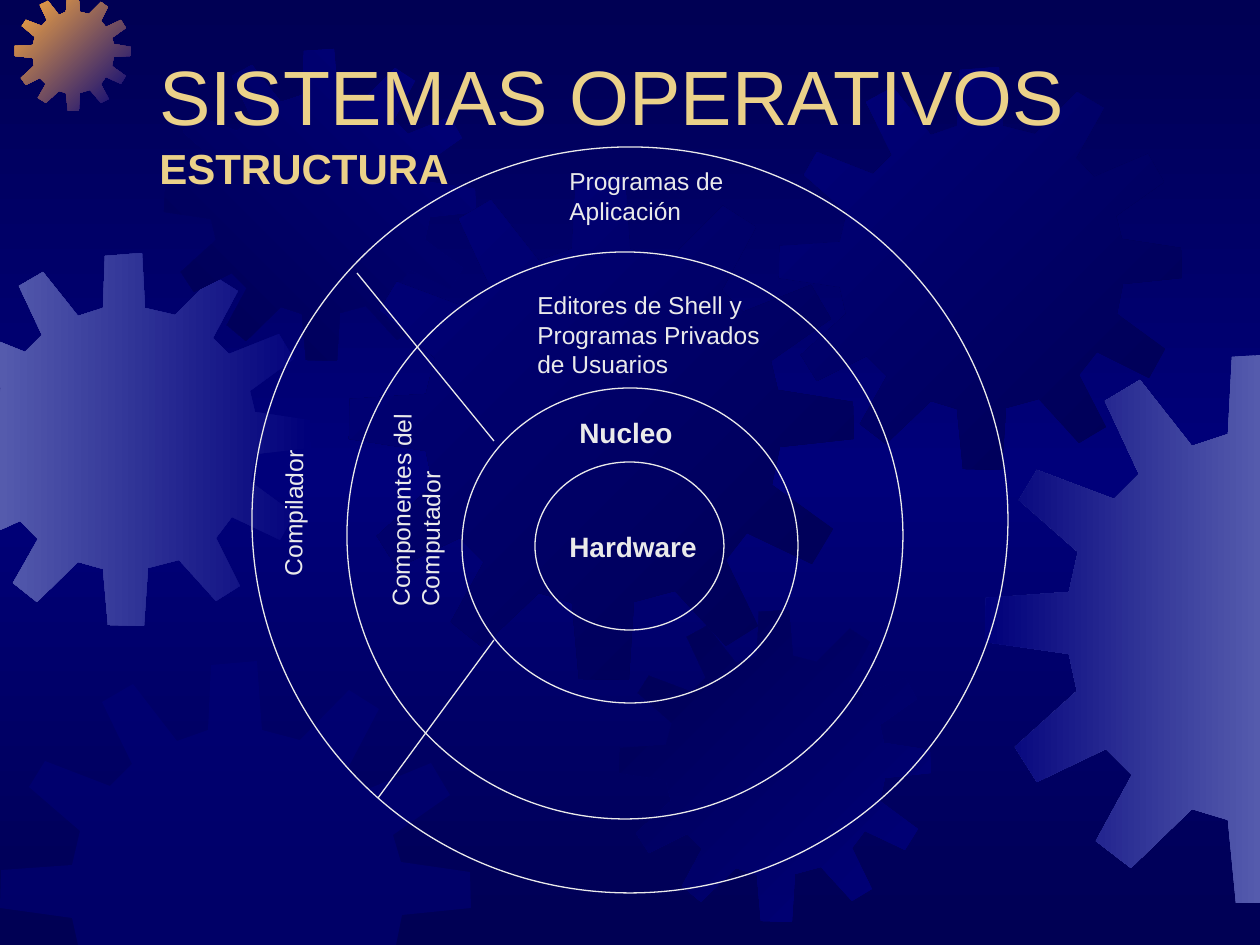
import copy

import lxml.etree
import pptx
import pptx.util
import pptx.dml.color
import pptx.enum.shapes
import pptx.enum.text
import pptx.oxml.ns

EMU_PER_PX = 914400 / 126
WIDTH, HEIGHT = 1260, 945

NIGHT = pptx.dml.color.RGBColor(0x00, 0x00, 0x54)
NAVY = pptx.dml.color.RGBColor(0x00, 0x00, 0x7A)
LAVENDER = pptx.dml.color.RGBColor(0x55, 0x5B, 0xAD)
ORANGE = pptx.dml.color.RGBColor(0xFC, 0xAB, 0x40)
GOLD = pptx.dml.color.RGBColor(0xEB, 0xD1, 0x89)
PALE = pptx.dml.color.RGBColor(0xEA, 0xEA, 0xEA)

# One gear outline, drawn on a square of GEAR_SIZE units
GEAR_SIZE = 401
GEAR_POINTS = [
    (255, 67), (223, 59), (219, 0), (180, 3), (177, 59), (151, 68),
    (113, 20), (87, 35), (112, 88), (94, 106), (38, 85), (25, 107),
    (68, 145), (61, 174), (1, 178), (0, 210), (61, 219), (67, 246),
    (22, 287), (38, 312), (88, 288), (107, 307), (81, 355), (106, 375),
    (151, 332), (177, 340), (183, 400), (222, 401), (226, 339), (259, 330),
    (299, 374), (325, 358), (299, 306), (316, 284), (368, 309), (384, 281),
    (336, 246), (342, 216), (401, 210), (400, 180), (341, 171), (335, 148),
    (383, 114), (367, 87), (313, 109), (296, 91), (323, 41), (297, 25),
]

# left, top, size, colours, clockwise gradient angle
GEARS = [
    (-62, 253, 373, (NAVY, LAVENDER), 180),
    (15, -5, 116, (NAVY, ORANGE), 225),
    (164, 49, 312, (NAVY, NIGHT), 135),
    (349, 175, 505, (NIGHT, NAVY), 225),
    (0, 661, 471, (NAVY,), None),
    (619, 610, 312, (NAVY, NIGHT), 225),
    (779, 67, 403, (NIGHT, NAVY), 225),
    (985, 353, 551, (LAVENDER, NAVY), 180),
]

# left, top, width, height
RINGS = [
    (535, 462, 189, 168),
    (462, 388, 336, 315),
    (347, 252, 556, 567),
    (252, 147, 756, 746),
]

# start x, start y, end x, end y
DIVIDERS = [(494, 441, 357, 273), (494, 640, 378, 798)]

# text, left, top, width, height, size, bold
TITLES = [
    ("SISTEMAS OPERATIVOS", 147, 63, 1071, 84, 44, False),
    ("ESTRUCTURA", 147, 126, 1071, 73, 24, True),
]

# text, left, top, width, height, size, bold, rotation
LABELS = [
    ("Hardware", 557, 523, 168, 47, 16, True, 0),
    ("Nucleo", 567, 409, 126, 47, 16, True, 0),
    ("Editores de Shell y Programas Privados de Usuarios",
     525, 284, 262, 101, 14, False, 0),
    ("Programas de Aplicación", 557, 160, 262, 72, 14, False, 0),
    ("Componentes del Computador", 285, 452, 262, 72, 14, False, 270.5),
    ("Compilador", 163, 436, 262, 43, 14, False, 270.5),
]


def px(*lengths):
    return [pptx.util.Emu(round(length * EMU_PER_PX)) for length in lengths]


def clip(points, axis, limit, sign):
    """Cut a polygon, keeping the side where sign * (coordinate - limit) >= 0."""
    kept = []
    for start, end in zip(points[-1:] + points[:-1], points):
        before, after = (sign * (point[axis] - limit) for point in (start, end))
        if before * after < 0:
            share = before / (before - after)
            kept.append(tuple(a + share * (b - a) for a, b in zip(start, end)))
        if after >= 0:
            kept.append(end)
    return kept


def set_gradient(fill, colours, angle):
    fill.gradient()
    fill.gradient_angle = 360 - angle
    for stop, colour in zip(fill.gradient_stops, colours):
        stop.color.rgb = colour


def paint_background(slide):
    fill = slide.background.fill
    set_gradient(fill, (NIGHT, NAVY), 90)
    stops = slide.element.find(".//" + pptx.oxml.ns.qn("a:gsLst"))
    stops.append(copy.deepcopy(stops[0]))
    for stop, position in zip(fill.gradient_stops, (0, 0.5, 1)):
        stop.position = position


def add_gear(slide, left, top, size, colours, angle):
    scale = size / GEAR_SIZE
    points = [(left + x * scale, top + y * scale) for x, y in GEAR_POINTS]
    for axis, limit in enumerate((WIDTH, HEIGHT)):
        points = clip(points, axis, 0, 1)
        points = clip(points, axis, limit, -1)
    points = [(round(x), round(y)) for x, y in points]
    builder = slide.shapes.build_freeform(*points[0], scale=EMU_PER_PX)
    builder.add_line_segments(points[1:], close=True)
    gear = builder.convert_to_shape()
    gear.shadow.inherit = False
    gear.line.fill.background()
    if angle is not None:
        set_gradient(gear.fill, colours, angle)
        return
    gear.fill.solid()
    gear.fill.fore_color.rgb = colours[0]
    colour = gear.element.spPr.find(".//" + pptx.oxml.ns.qn("a:srgbClr"))
    lxml.etree.SubElement(colour, pptx.oxml.ns.qn("a:alpha"), val="50000")


def set_outline(shape):
    shape.line.color.rgb = PALE
    shape.line.width = pptx.util.Pt(0.75)


def add_ring(slide, bounds):
    ring = slide.shapes.add_shape(
        pptx.enum.shapes.MSO_SHAPE.OVAL, *px(*bounds))
    ring.shadow.inherit = False
    ring.fill.background()
    set_outline(ring)


def add_divider(slide, ends):
    divider = slide.shapes.add_connector(
        pptx.enum.shapes.MSO_CONNECTOR.STRAIGHT, *px(*ends))
    set_outline(divider)
    lxml.etree.SubElement(
        divider.element.spPr, pptx.oxml.ns.qn("a:effectLst"))


def add_text(slide, text, bounds, size, bold, colour):
    box = slide.shapes.add_textbox(*px(*bounds))
    box.text_frame.word_wrap = True
    span = box.text_frame.paragraphs[0].add_run()
    span.text = text
    span.font.name = "Arial"
    span.font.size = pptx.util.Pt(size)
    span.font.bold = bold
    span.font.color.rgb = colour
    return box


def main():
    deck = pptx.Presentation()
    deck.slide_width, deck.slide_height = px(WIDTH, HEIGHT)
    slide = deck.slides.add_slide(deck.slide_layouts[6])
    paint_background(slide)
    for gear in GEARS:
        add_gear(slide, *gear)
    for text, *bounds, size, bold in TITLES:
        box = add_text(slide, text, bounds, size, bold, GOLD)
        box.text_frame.vertical_anchor = pptx.enum.text.MSO_ANCHOR.BOTTOM
    for bounds in RINGS:
        add_ring(slide, bounds)
    for ends in DIVIDERS:
        add_divider(slide, ends)
    for text, *bounds, size, bold, rotation in LABELS:
        box = add_text(slide, text, bounds, size, bold, PALE)
        box.text_frame.auto_size = pptx.enum.text.MSO_AUTO_SIZE.SHAPE_TO_FIT_TEXT
        box.rotation = rotation
    deck.save("out.pptx")


if __name__ == "__main__":
    main()
